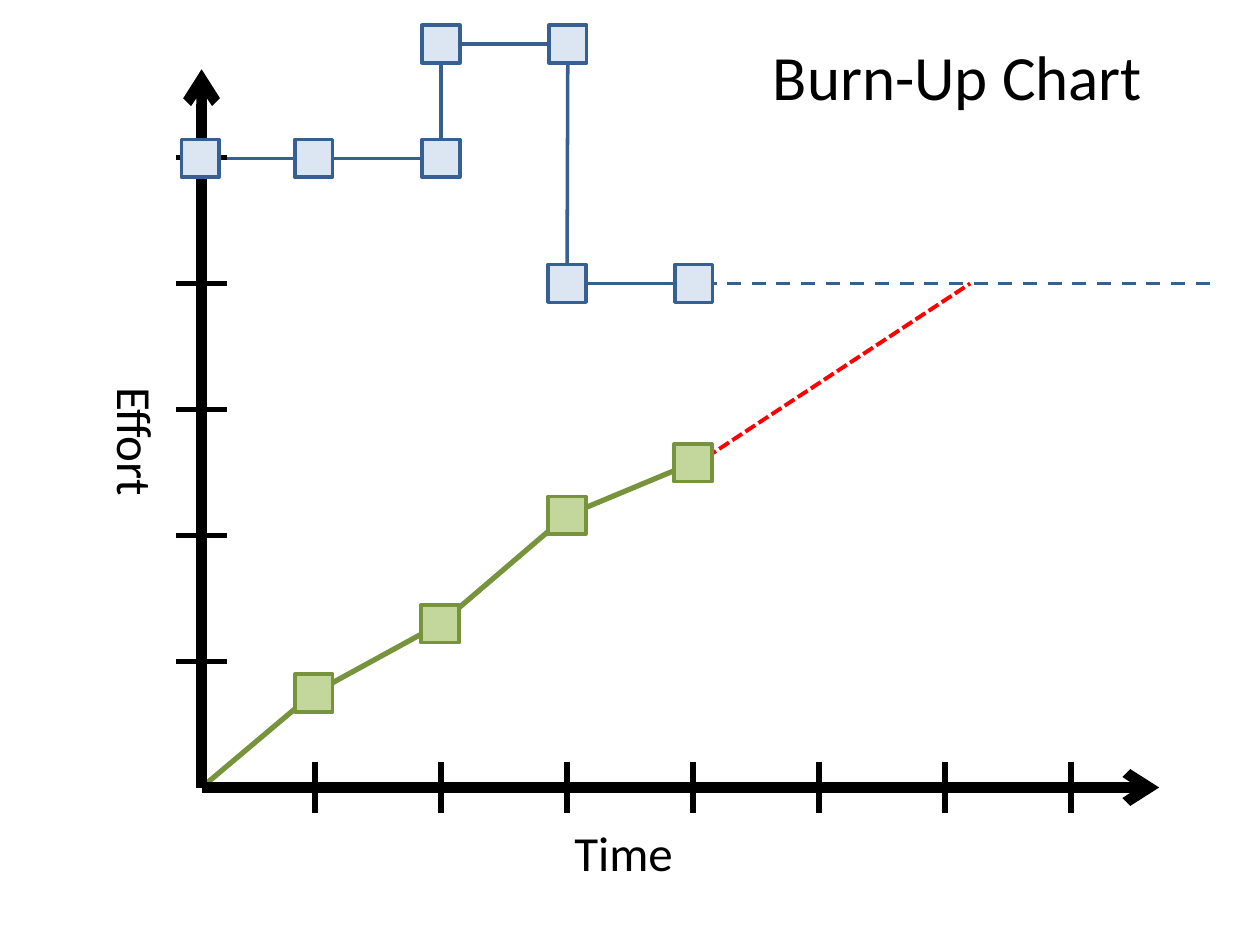
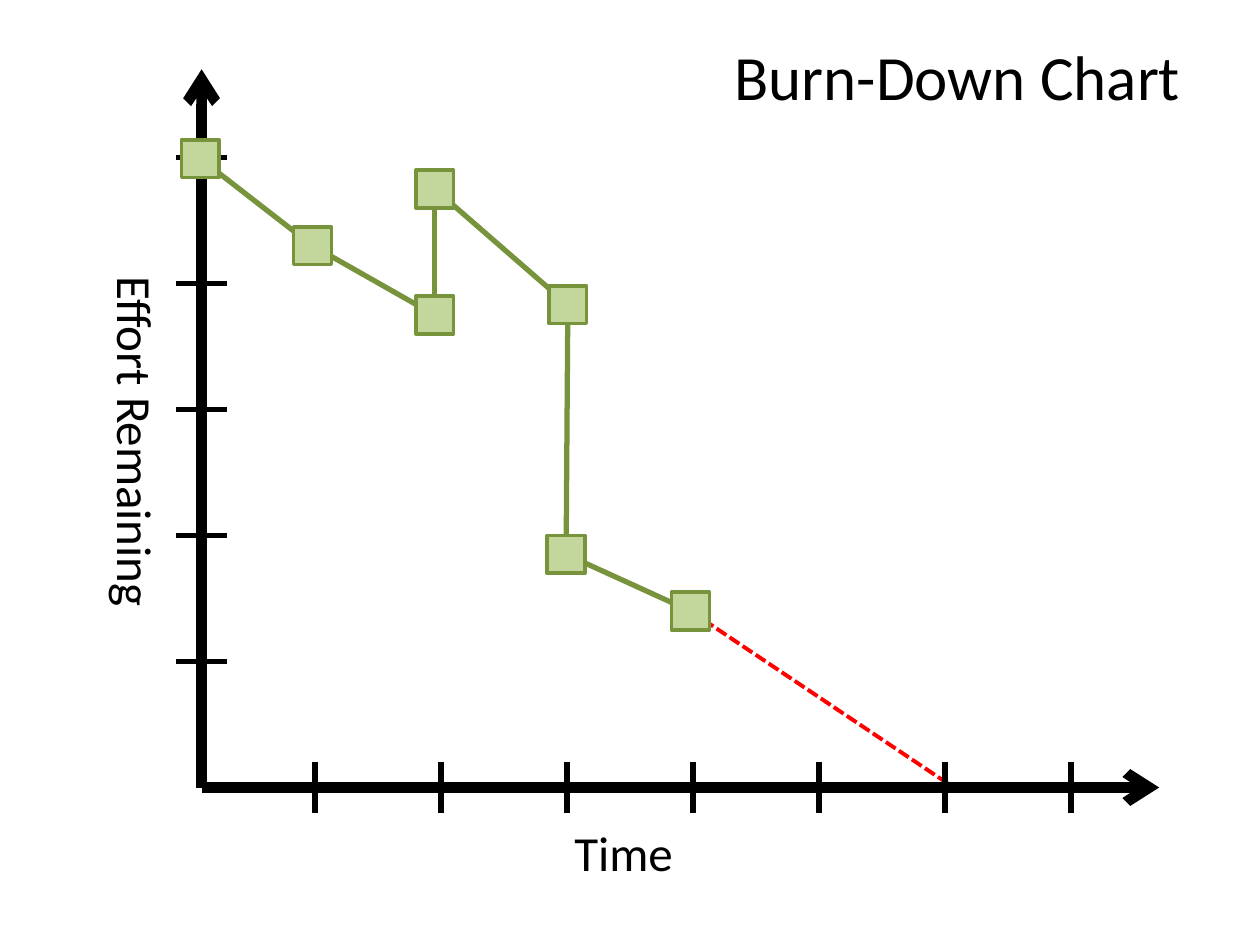
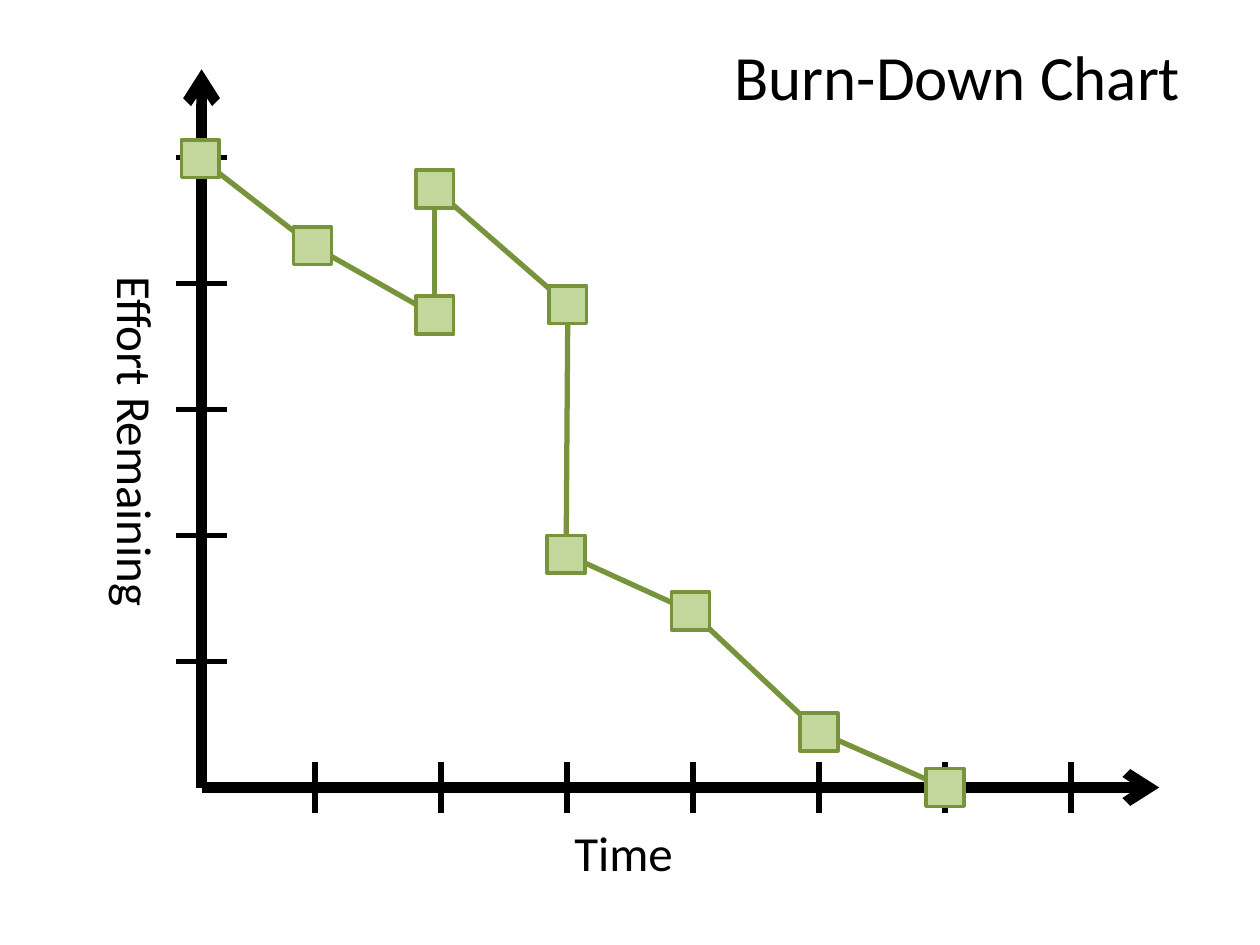
from itertools import pairwise

from pptx import Presentation
from pptx.dml.color import RGBColor
from pptx.enum.dml import MSO_LINE
from pptx.enum.shapes import MSO_CONNECTOR, MSO_SHAPE
from pptx.enum.text import MSO_AUTO_SIZE, PP_ALIGN
from pptx.oxml.ns import qn
from pptx.oxml.xmlchemy import OxmlElement
from pptx.util import Pt

# Shared style
FONT = "Calibri"
BLACK, RED = "000000", "FF0000"
BLUE, LIGHT_BLUE = "376092", "DCE6F2"
GREEN, LIGHT_GREEN = "77933C", "C3D69B"

# Shared geometry, in points
ORIGIN = (115.2, 450)
EFFORT_AXIS_END = (115.2, 39.6)
TIME_AXIS_END = (662.4, 450)
UNIT = 72
FIRST_TIME_TICK = 180
TICK_HALF = 14.4
MARKER_SIZE = 21.6

# Data points, in points on the slide
SCOPE = [(114.5, 90.5), (179.3, 90.5), (252, 90.5), (252, 25.2),
         (324.5, 25.2), (324, 162), (396.5, 162)]
COMPLETED = [(179.3, 396), (251.5, 356.5), (324, 294.5), (396, 264.5)]
REMAINING = [(114.5, 90.7), (178.6, 140.4), (248.4, 180), (248.4, 108),
             (324.5, 174.2), (323.5, 316.8), (394.6, 349.2)]
FINISHED = REMAINING + [(468, 418.3), (540, 450)]


def color(hex_value):
    return RGBColor.from_string(hex_value)


def add_line(slide, start, end, line_color, width, dash=None, arrow=False):
    connector = slide.shapes.add_connector(
        MSO_CONNECTOR.STRAIGHT, *(Pt(value) for value in (*start, *end)))
    connector.line.color.rgb = color(line_color)
    connector.line.width = Pt(width)
    if dash is not None:
        connector.line.dash_style = dash
    properties = connector._element.spPr
    if arrow:
        arrowhead = OxmlElement("a:tailEnd")
        arrowhead.set("type", "arrow")
        properties.find(qn("a:ln")).append(arrowhead)
    properties.append(OxmlElement("a:effectLst"))


def add_path(slide, points, line_color, width):
    for start, end in pairwise(points):
        add_line(slide, start, end, line_color, width)


def add_markers(slide, points, fill, outline):
    for x, y in points:
        marker = slide.shapes.add_shape(
            MSO_SHAPE.RECTANGLE, Pt(x - MARKER_SIZE / 2),
            Pt(y - MARKER_SIZE / 2), Pt(MARKER_SIZE), Pt(MARKER_SIZE))
        marker.shadow.inherit = False
        marker.fill.solid()
        marker.fill.fore_color.rgb = color(fill)
        marker.line.color.rgb = color(outline)
        marker.line.width = Pt(2)


def add_text(slide, text, left, top, width, height, size=28, rotation=0):
    box = slide.shapes.add_textbox(Pt(left), Pt(top), Pt(width), Pt(height))
    box.rotation = rotation
    frame = box.text_frame
    frame.word_wrap = True
    frame.auto_size = MSO_AUTO_SIZE.SHAPE_TO_FIT_TEXT
    paragraph = frame.paragraphs[0]
    paragraph.alignment = PP_ALIGN.CENTER
    run = paragraph.add_run()
    run.text = text
    run.font.name = FONT
    run.font.size = Pt(size)
    run.font.color.rgb = color(BLACK)


def add_axes(slide, title, effort_label):
    for end in (EFFORT_AXIS_END, TIME_AXIS_END):
        add_line(slide, ORIGIN, end, BLACK, 6, arrow=True)
    add_text(slide, "Time", 252, 466.5, 208.8, 41.2)
    add_text(slide, effort_label, -26.6, 231.8, 208.8, 41.2, rotation=90)

    # Ticks
    axis_x, axis_y = ORIGIN
    for step in range(1, 6):
        y = axis_y - step * UNIT
        add_line(slide, (axis_x - TICK_HALF, y), (axis_x + TICK_HALF, y),
                 BLACK, 3)
    for step in range(7):
        x = FIRST_TIME_TICK + step * UNIT
        add_line(slide, (x, axis_y + TICK_HALF), (x, axis_y - TICK_HALF),
                 BLACK, 3)
    add_text(slide, title, 403.2, 18, 288, 50.9, size=36)


def add_forecast(slide, start, end):
    add_line(slide, start, end, RED, 2.25, dash=MSO_LINE.SQUARE_DOT)


def build_burn_up(slide):
    add_forecast(slide, (396, 266.4), (554.4, 162))
    add_line(slide, (691.2, 162), (396, 162), BLUE, 2, dash=MSO_LINE.DASH)
    # The flat start of the scope is one line through its second marker
    add_path(slide, SCOPE[:1] + SCOPE[2:], BLUE, 2)
    add_path(slide, [ORIGIN] + COMPLETED, GREEN, 3)
    add_axes(slide, "Burn-Up Chart", "Effort")
    add_markers(slide, SCOPE, LIGHT_BLUE, BLUE)
    add_markers(slide, COMPLETED, LIGHT_GREEN, GREEN)


def build_burn_down(slide, points, forecast_end=None):
    if forecast_end:
        add_forecast(slide, points[-1], forecast_end)
    add_path(slide, points, GREEN, 3)
    add_axes(slide, "Burn-Down Chart", "Effort Remaining")
    add_markers(slide, points, LIGHT_GREEN, GREEN)


def main():
    presentation = Presentation()
    presentation.slide_width = Pt(720)
    presentation.slide_height = Pt(540)
    blank = presentation.slide_layouts[6]
    burn_up, burn_down, burn_down_finished = (
        presentation.slides.add_slide(blank) for _ in range(3))
    build_burn_up(burn_up)
    build_burn_down(burn_down, REMAINING, forecast_end=(545, 450))
    build_burn_down(burn_down_finished, FINISHED)
    presentation.save("out.pptx")


if __name__ == "__main__":
    main()
